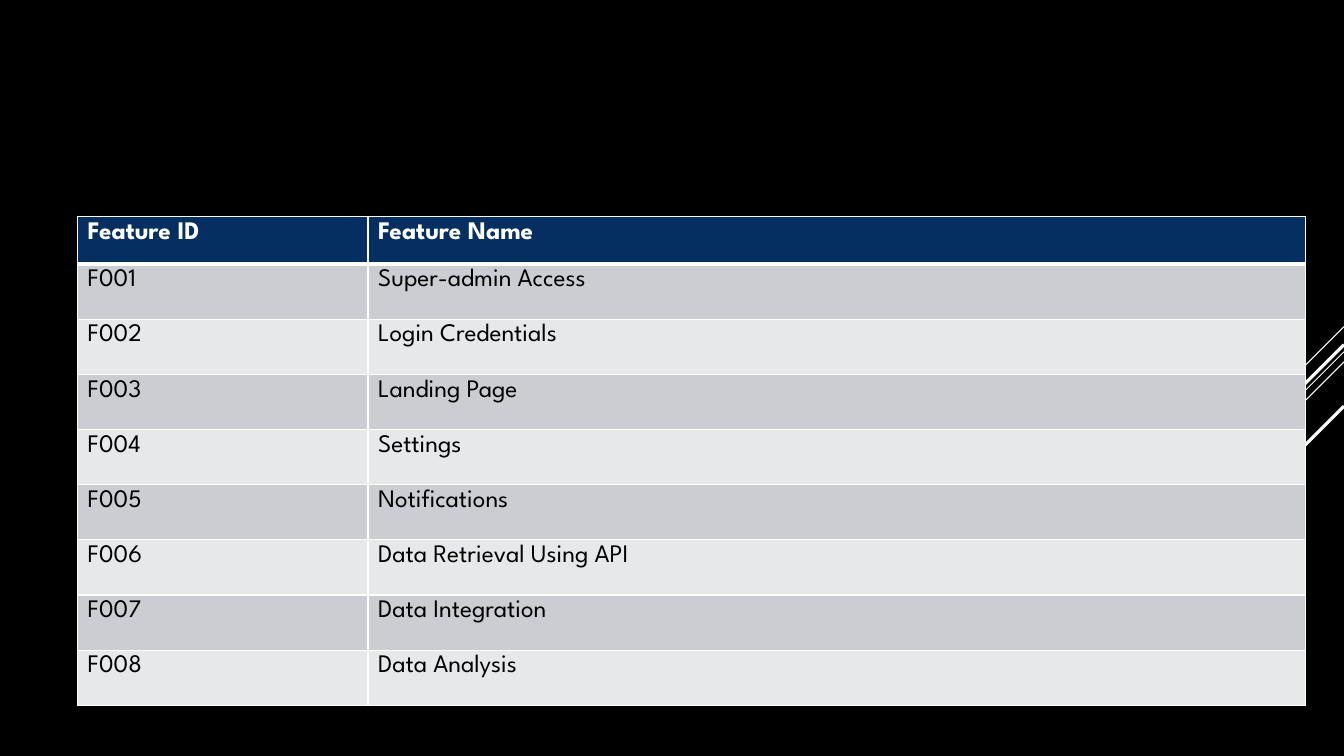
from lxml import etree
from pptx import Presentation
from pptx import util as u
from pptx.dml.color import RGBColor
from pptx.enum import shapes
from pptx.oxml import ns

SLIDE_WIDTH, SLIDE_HEIGHT = 13.33, 7.5
FONT = "League Spartan"
BLACK = RGBColor(0x00, 0x00, 0x00)
WHITE = RGBColor(0xFF, 0xFF, 0xFF)
NAVY = RGBColor(0x05, 0x2F, 0x61)
DARK_BAND = RGBColor(0xCC, 0xCD, 0xD2)
LIGHT_BAND = RGBColor(0xE7, 0xE8, 0xEA)

HEADINGS = ("Feature ID", "Feature Name")
FEATURES = (
    "Super-admin Access", "Login Credentials", "Landing Page", "Settings",
    "Notifications", "Data Retrieval Using API", "Data Integration", "Data Analysis",
)
# Start height on the right edge, 45-degree run, line width in points
STREAKS = (
    (3.24, 1.0, 0.75), (3.49, 3.26, 0.75), (3.59, 2.07, 0.75),
    (3.42, 1.91, 2.25), (4.03, 1.39, 2.25),
)


def draw_streaks(slide, right):
    """Diagonal lines running down and left from the given right edge."""
    for top, run, width in STREAKS:
        streak = slide.shapes.add_connector(
            shapes.MSO_CONNECTOR.STRAIGHT, u.Inches(right), u.Inches(top),
            u.Inches(right - run), u.Inches(top + run))
        streak.line.color.rgb = WHITE
        streak.line.width = u.Pt(width)
        etree.SubElement(streak._element.spPr, ns.qn("a:effectLst"))


def set_borders(cell, widths):
    """White borders; widths maps each side's tag to points."""
    properties = cell._tc.get_or_add_tcPr()
    for position, (side, width) in enumerate(widths.items()):
        border = etree.Element(ns.qn(f"a:{side}"), w=str(u.Pt(width)))
        fill = etree.SubElement(border, ns.qn("a:solidFill"))
        etree.SubElement(fill, ns.qn("a:srgbClr"), val=str(WHITE))
        properties.insert(position, border)


def fill_cell(cell, wording, row):
    header = row == 0
    cell.fill.solid()
    cell.fill.fore_color.rgb = NAVY if header else DARK_BAND if row % 2 else LIGHT_BAND
    set_borders(cell, {"lnL": 1, "lnR": 1, "lnT": 3 if row == 1 else 1,
                       "lnB": 3 if header else 1})
    cell.text_frame.text = wording
    font = cell.text_frame.paragraphs[0].runs[0].font
    font.name, font.size, font.bold = FONT, u.Pt(18), header
    font.color.rgb = WHITE if header else BLACK


def draw_feature_table(slide, left, top, width, height):
    """Feature list: a short header row over equal banded rows."""
    rows = [HEADINGS] + [(f"F{number:03}", name)
                         for number, name in enumerate(FEATURES, 1)]
    table = slide.shapes.add_table(
        len(rows), len(HEADINGS), u.Inches(left), u.Inches(top),
        u.Inches(width), u.Inches(height)).table
    id_width, header_height = 2.88, 0.47
    table.columns[0].width = u.Inches(id_width)
    table.columns[1].width = u.Inches(width - id_width)
    row_height = (height - header_height) / len(FEATURES)
    for row, values in enumerate(rows):
        table.rows[row].height = u.Inches(row_height if row else header_height)
        for column, wording in enumerate(values):
            fill_cell(table.cell(row, column), wording, row)


def build_features_slide(presentation):
    slide = presentation.slides.add_slide(presentation.slide_layouts[6])
    slide.background.fill.solid()
    slide.background.fill.fore_color.rgb = BLACK
    draw_streaks(slide, SLIDE_WIDTH)
    draw_feature_table(slide, 0.77, 2.15, 12.18, 4.85)


presentation = Presentation()
presentation.slide_width = u.Inches(SLIDE_WIDTH)
presentation.slide_height = u.Inches(SLIDE_HEIGHT)
build_features_slide(presentation)
presentation.save("out.pptx")
